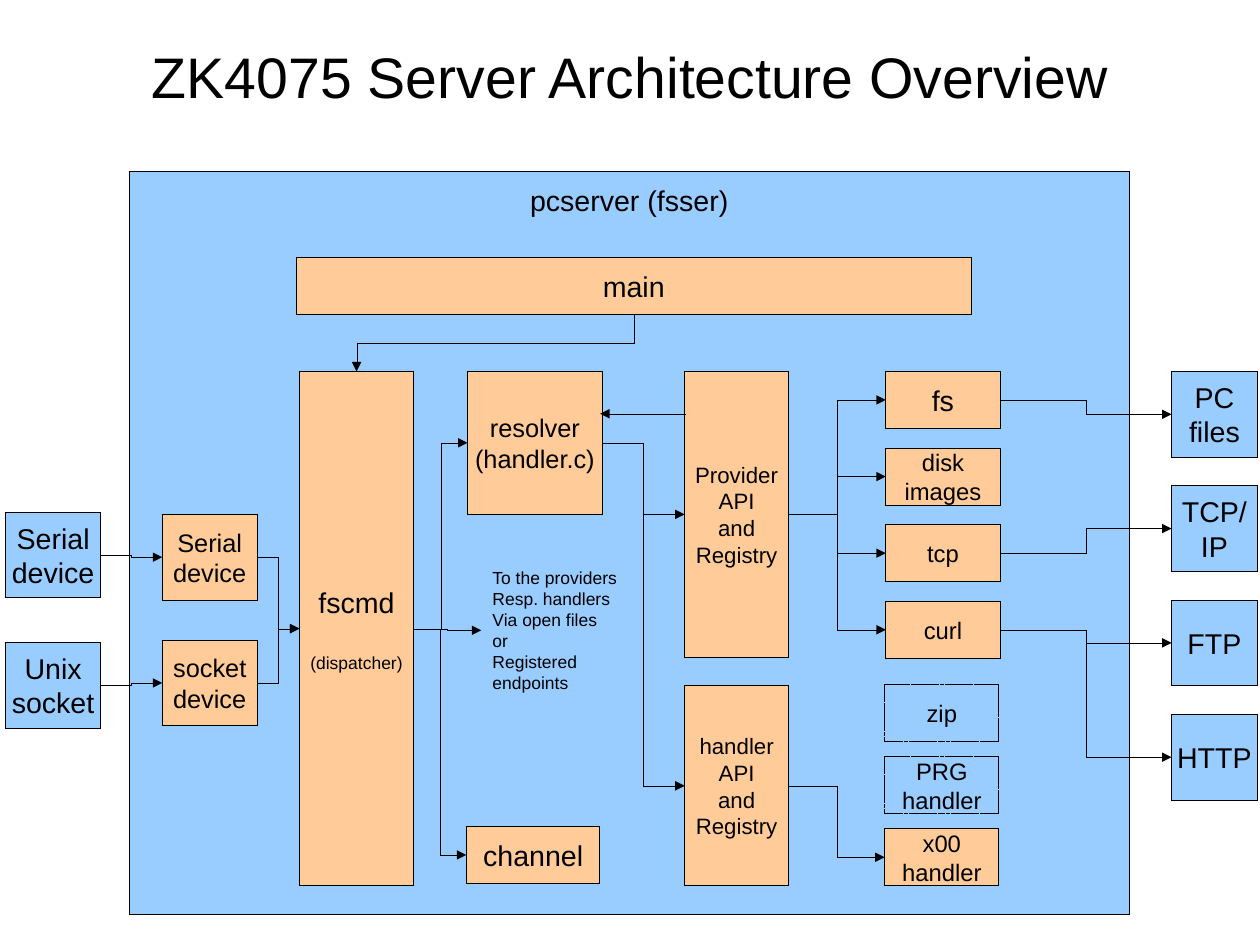
from pptx import Presentation
from pptx.dml.color import RGBColor
from pptx.enum.dml import MSO_LINE as Dash
from pptx.enum.shapes import MSO_CONNECTOR as Wire, MSO_SHAPE as Form
from pptx.enum.text import (MSO_ANCHOR as Anchor, MSO_AUTO_SIZE as Fit,
                            PP_ALIGN as Align)
from pptx.oxml.ns import qn
from pptx.util import Cm, Inches, Pt
from lxml.etree import SubElement

WIDE, HIGH = Cm(28), Cm(21)
TITLE = "ZK4075 Server Architecture Overview"
NOTE = ["To the providers", "Resp. handlers", "Via open files or",
        "Registered", "endpoints"]


class Theme:
    font = "Arial"
    ink = RGBColor(0, 0, 0)
    blue = RGBColor(0x99, 0xCC, 0xFF)
    peach = RGBColor(0xFF, 0xCC, 0x99)
    title, big, mid, item, api, small = 36, 18, 16, 15, 14, 11


# Columns: left edge and width in inches
COLS = {
    "source": (0.05, 0.83), "server": (1.13, 8.75), "device": (1.42, 0.83),
    "main": (2.59, 5.91), "command": (2.62, 1), "channel": (4.08, 1.17),
    "resolver": (4.09, 1.18), "note": (4.21, 1.29), "api": (5.99, 0.91),
    "provider": (7.75, 1), "handler": (7.74, 1), "target": (10.25, 0.75),
}

# Stacks: column, top, row pitch, box height, fill, type size, {name: lines}
STACKS = [
    ("target", 3.25, 1, 0.75, Theme.blue, Theme.big,
     {"files": ["PC", "files"], "ip": ["TCP/", "IP"],
      "ftp": ["FTP"], "http": ["HTTP"]}),
    ("source", 4.48, 1.14, 0.75, Theme.blue, Theme.big,
     {"serial": ["Serial", "device"], "unix": ["Unix", "socket"]}),
    ("device", 4.5, 1.1, 0.75, Theme.peach, Theme.mid,
     {"serial dev": ["Serial", "device"], "socket dev": ["socket", "device"]}),
    ("main", 2.25, 0, 0.5, Theme.peach, Theme.big, {"main": ["main"]}),
    ("command", 3.25, 0, 4.5, Theme.peach, Theme.big,
     {"fscmd": ["fscmd", "(dispatcher)"]}),
    ("resolver", 3.25, 0, 1.25, Theme.peach, Theme.mid,
     {"resolver": ["resolver", "(handler.c)"]}),
    ("channel", 7.23, 0, 0.5, Theme.peach, Theme.big, {"channel": ["channel"]}),
    ("api", 3.25, 0, 2.5, Theme.peach, Theme.api,
     {"providers": ["Provider", "API", "and", "Registry"]}),
    ("api", 6, 0, 1.75, Theme.peach, Theme.api,
     {"handlers": ["handler", "API", "and", "Registry"]}),
    ("provider", 3.25, 0, 0.5, Theme.peach, Theme.big, {"fs": ["fs"]}),
    ("provider", 3.92, 0.67, 0.5, Theme.peach, Theme.item,
     {"disk": ["disk", "images"], "tcp": ["tcp"], "curl": ["curl"]}),
    ("handler", 5.99, 0.63, 0.5, None, Theme.item,
     {"zip": ["zip"], "prg": ["PRG", "handler"]}),
    ("handler", 7.25, 0, 0.5, Theme.peach, Theme.item,
     {"x00": ["x00", "handler"]}),
]

# Each start leads from its right side to the left side of its ends
WIRES = {
    "serial": ["serial dev"], "unix": ["socket dev"],
    "serial dev": ["fscmd"], "socket dev": ["fscmd"],
    "fscmd": ["resolver", "note", "channel"],
    "resolver": ["providers", "handlers"],
    "providers": ["fs", "disk", "tcp", "curl"], "handlers": ["x00"],
    "fs": ["files"], "tcp": ["ip"], "curl": ["ftp", "http"],
}


def write(frame, lines, size=Theme.big, align=Align.CENTER,
          anchor=Anchor.MIDDLE, wrap=False, fit=Fit.NONE):
    frame.word_wrap, frame.auto_size = wrap, fit
    frame.vertical_anchor = anchor
    for row, line in enumerate(lines):
        para = frame.paragraphs[0] if row == 0 else frame.add_paragraph()
        para.alignment = align
        run = para.add_run()
        run.text = line
        run.font.name, run.font.size = Theme.font, Pt(size)
        run.font.color.rgb = Theme.ink


def thin(line):
    """Draw a hairline; a zero width has to be stated in the XML."""
    line.color.rgb = Theme.ink
    edge = line._get_or_add_ln()
    edge.set("w", "0")
    return edge


def box(slide, col, top, high, fill):
    left, wide = COLS[col]
    shape = slide.shapes.add_shape(
        Form.RECTANGLE, *map(Inches, (left, top, wide, high)))
    shape.shadow.inherit = False
    thin(shape.line)
    if fill is None:
        shape.fill.background()
        shape.line.dash_style = Dash.SQUARE_DOT
    else:
        shape.fill.solid()
        shape.fill.fore_color.rgb = fill
    return shape


def arrow(slide, kind, ends=(0, 0, 0, 0)):
    wire = slide.shapes.add_connector(kind, *map(Inches, ends))
    SubElement(thin(wire.line), qn("a:tailEnd"), type="triangle")
    SubElement(wire._element.spPr, qn("a:effectLst"))
    return wire


def join(slide, start, end, out=3, into=1):
    wire = arrow(slide, Wire.ELBOW)
    wire.begin_connect(start, out)
    wire.end_connect(end, into)
    return wire


def turn(wire):
    """Make an elbow that runs down and to the left leave vertically."""
    left, top, wide, high = wire.left, wire.top, wire.width, wire.height
    wire.left, wire.top = left + (wide - high) // 2, top + (high - wide) // 2
    wire.width, wire.height = high, wide
    frame = wire._element.spPr.xfrm
    frame.attrib.pop("flipH", None)
    frame.set("rot", str(90 * 60000))


def main():
    deck = Presentation()
    deck.slide_width, deck.slide_height = WIDE, HIGH
    slide = deck.slides.add_slide(deck.slide_layouts[5])

    title = slide.shapes.title
    title.left, title.top = int(WIDE * 0.05), int(HIGH * 0.04)
    title.width, title.height = int(WIDE * 0.9), int(HIGH * 0.08)
    frame = title.text_frame
    frame.margin_left = frame.margin_right = 0
    frame.margin_top = frame.margin_bottom = 0
    write(frame, [TITLE], Theme.title, wrap=True, fit=Fit.SHAPE_TO_FIT_TEXT)

    server = box(slide, "server", 1.5, 6.5, Theme.blue)
    server.text_frame.margin_top = Inches(0.1)
    write(server.text_frame, ["pcserver (fsser)"], anchor=Anchor.TOP)

    parts = {}
    for col, top, pitch, high, fill, size, items in STACKS:
        for row, (name, lines) in enumerate(items.items()):
            parts[name] = box(slide, col, top + row * pitch, high, fill)
            write(parts[name].text_frame, lines, size)
    role = parts["fscmd"].text_frame.paragraphs[1]
    role.space_before = Pt(Theme.big * 1.15)
    role.runs[0].font.size = Pt(Theme.small)

    left, wide = COLS["note"]
    note = slide.shapes.add_textbox(*map(Inches, (left, 4.91, wide, 1.21)))
    write(note.text_frame, NOTE, Theme.small, Align.LEFT, Anchor.TOP,
          fit=Fit.SHAPE_TO_FIT_TEXT)
    parts["note"] = note

    for start, ends in WIRES.items():
        for end in ends:
            join(slide, parts[start], parts[end])
    turn(join(slide, parts["main"], parts["fscmd"], out=2, into=0))
    arrow(slide, Wire.STRAIGHT, (6, 3.62, 5.25, 3.62))
    deck.save("out.pptx")


if __name__ == "__main__":
    main()
